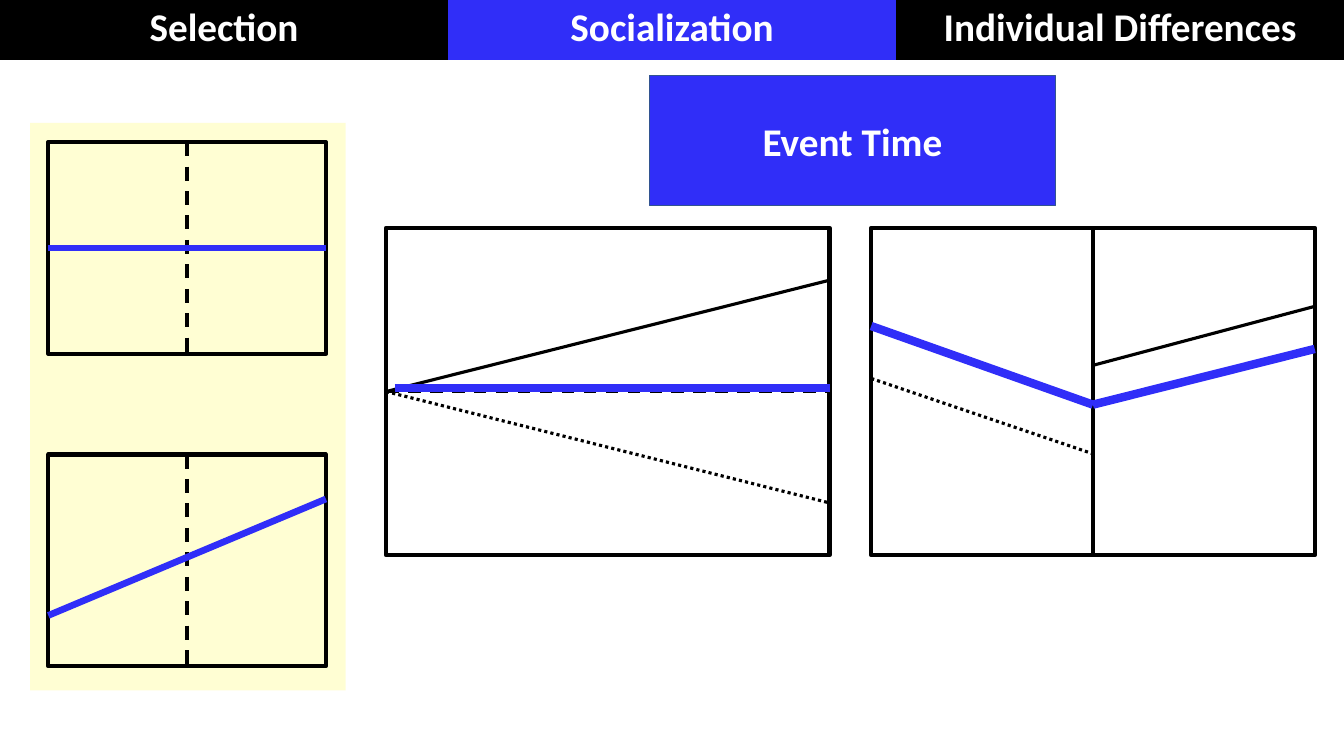
from dataclasses import dataclass
from typing import Optional

from lxml.etree import SubElement
from pptx import Presentation
from pptx.dml.color import RGBColor
from pptx.enum.dml import MSO_LINE as Dash
from pptx.enum.shapes import MSO_CONNECTOR as Connector, MSO_SHAPE as Preset
from pptx.enum.text import MSO_ANCHOR as Anchor, PP_ALIGN as Align
from pptx.oxml.ns import qn
from pptx.util import Inches, Pt


@dataclass(frozen=True)
class Theme:
    ink: RGBColor = RGBColor.from_string("000000")
    paper: RGBColor = RGBColor.from_string("FFFFFF")
    accent: RGBColor = RGBColor.from_string("302EF8")
    accent_edge: RGBColor = RGBColor.from_string("325491")
    highlight: RGBColor = RGBColor.from_string("FFFD78")
    highlight_alpha: int = 32000
    font: str = "Calibri"
    heading: float = 28
    frame: float = 3


@dataclass(frozen=True)
class Area:
    left: float
    top: float
    width: float
    height: float

    def point(self, across: float, down: float) -> tuple[int, int]:
        return (int(SLIDE_W * (self.left + across * self.width) / 100),
                int(SLIDE_H * (self.top + down * self.height) / 100))

    def box(self) -> tuple[int, int, int, int]:
        return (*self.point(0, 0),
                int(SLIDE_W * self.width / 100), int(SLIDE_H * self.height / 100))


@dataclass(frozen=True)
class Trend:
    start: tuple[float, float]
    end: tuple[float, float]
    width: float = 2.25
    color: RGBColor = Theme.ink
    dash: Optional[Dash] = None


@dataclass(frozen=True)
class Panel:
    area: Area
    trends: tuple[Trend, ...]


THEME = Theme()
SLIDE_W, SLIDE_H = Inches(13.33), Inches(7.5)
SIDE_MIDDLES = {(0.5, 0): 0, (0, 0.5): 1, (0.5, 1): 2, (1, 0.5): 3}
NO_GRID_STYLE = "{2D5ABB26-0587-4C30-8999-92F81FD0307C}"

SECTIONS = ("Selection", "Socialization", "Individual Differences")
CURRENT_SECTION = "Socialization"
SECTION_BAR = Area(0, -0.13, 100, 8.13)
EVENT_TIME = Area(48.31, 10, 30.23, 17.2)
SELECTION_BACKDROP = Area(2.25, 16.27, 23.48, 75.07)

EVENT = Trend((0.5, 0), (0.5, 1), 2.5, dash=Dash.DASH)
PANELS = (
    Panel(Area(3.6, 18.8, 20.65, 28), (
        EVENT,
        Trend((0, 0.5), (1, 0.5), 4.75, THEME.accent),
    )),
    Panel(Area(3.6, 60.13, 20.65, 28), (
        EVENT,
        Trend((0, 0.76), (1, 0.21), 4.75, THEME.accent),
    )),
    Panel(Area(28.73, 30.13, 33, 43.33), (
        Trend((0, 0.5), (1, 0.16)),
        Trend((0, 0.5), (1, 0.84), dash=Dash.ROUND_DOT),
        Trend((0, 0.5), (1, 0.5), dash=Dash.DASH),
        Trend((0.02, 0.49), (1, 0.49), 6, THEME.accent),
    )),
    Panel(Area(64.82, 30.13, 33, 43.33), (
        Trend((0.5, 0), (0.5, 1), 2.5),
        Trend((0.5, 0.42), (1, 0.24)),
        Trend((0, 0.46), (0.5, 0.69), dash=Dash.ROUND_DOT),
        Trend((0, 0.3), (0.5, 0.54), dash=Dash.DASH),
        Trend((0.5, 0.54), (1, 0.37), dash=Dash.DASH),
        Trend((0, 0.3), (0.5, 0.54), 6, THEME.accent),
        Trend((0.5, 0.54), (1, 0.37), 6, THEME.accent),
    )),
)


def write_heading(text_frame, text: str) -> None:
    text_frame.text = text
    heading = text_frame.paragraphs[0]
    heading.alignment = Align.CENTER
    heading.font.name = THEME.font
    heading.font.size = Pt(THEME.heading)
    heading.font.bold = True
    heading.font.color.rgb = THEME.paper


def add_rectangle(slide, area: Area):
    rectangle = slide.shapes.add_shape(Preset.RECTANGLE, *area.box())
    rectangle.shadow.inherit = False
    return rectangle


def add_backdrop(slide, area: Area) -> None:
    backdrop = add_rectangle(slide, area)
    backdrop.line.fill.background()
    backdrop.fill.solid()
    backdrop.fill.fore_color.rgb = THEME.highlight
    tint = backdrop._element.spPr.find(f".//{qn('a:srgbClr')}")
    SubElement(tint, qn("a:alpha"), val=str(THEME.highlight_alpha))


def add_trend(slide, frame, area: Area, trend: Trend) -> None:
    line = slide.shapes.add_connector(
        Connector.STRAIGHT, *area.point(*trend.start), *area.point(*trend.end))
    if trend.start in SIDE_MIDDLES:
        line.begin_connect(frame, SIDE_MIDDLES[trend.start])
    if trend.end in SIDE_MIDDLES:
        line.end_connect(frame, SIDE_MIDDLES[trend.end])
    line.line.width = Pt(trend.width)
    line.line.color.rgb = trend.color
    if trend.dash is not None:
        line.line.dash_style = trend.dash
    SubElement(line._element.spPr, qn("a:effectLst"))


def add_panel(slide, panel: Panel) -> None:
    frame = add_rectangle(slide, panel.area)
    frame.fill.background()
    frame.line.color.rgb = THEME.ink
    frame.line.width = Pt(THEME.frame)
    for trend in panel.trends:
        add_trend(slide, frame, panel.area, trend)


def add_section_bar(slide) -> None:
    bar = slide.shapes.add_table(1, len(SECTIONS), *SECTION_BAR.box()).table
    bar._tbl.tblPr.find(qn("a:tableStyleId")).text = NO_GRID_STYLE
    bar.first_row = bar.horz_banding = False
    for cell, section in zip(bar.rows[0].cells, SECTIONS):
        cell.fill.solid()
        cell.fill.fore_color.rgb = (
            THEME.accent if section == CURRENT_SECTION else THEME.ink)
        write_heading(cell.text_frame, section)


def fill_title(slide) -> None:
    event_time = slide.shapes.title
    event_time.left, event_time.top, event_time.width, event_time.height = EVENT_TIME.box()
    event_time.fill.solid()
    event_time.fill.fore_color.rgb = THEME.accent
    event_time.line.color.rgb = THEME.accent_edge
    event_time.line.width = Pt(1)
    event_time.text_frame.vertical_anchor = Anchor.MIDDLE
    write_heading(event_time.text_frame, "Event Time")


def main() -> None:
    deck = Presentation()
    deck.slide_width, deck.slide_height = SLIDE_W, SLIDE_H
    slide = deck.slides.add_slide(deck.slide_layouts.get_by_name("Title Only"))
    fill_title(slide)
    add_backdrop(slide, SELECTION_BACKDROP)
    add_section_bar(slide)
    for panel in PANELS:
        add_panel(slide, panel)
    deck.save("out.pptx")


if __name__ == "__main__":
    main()
